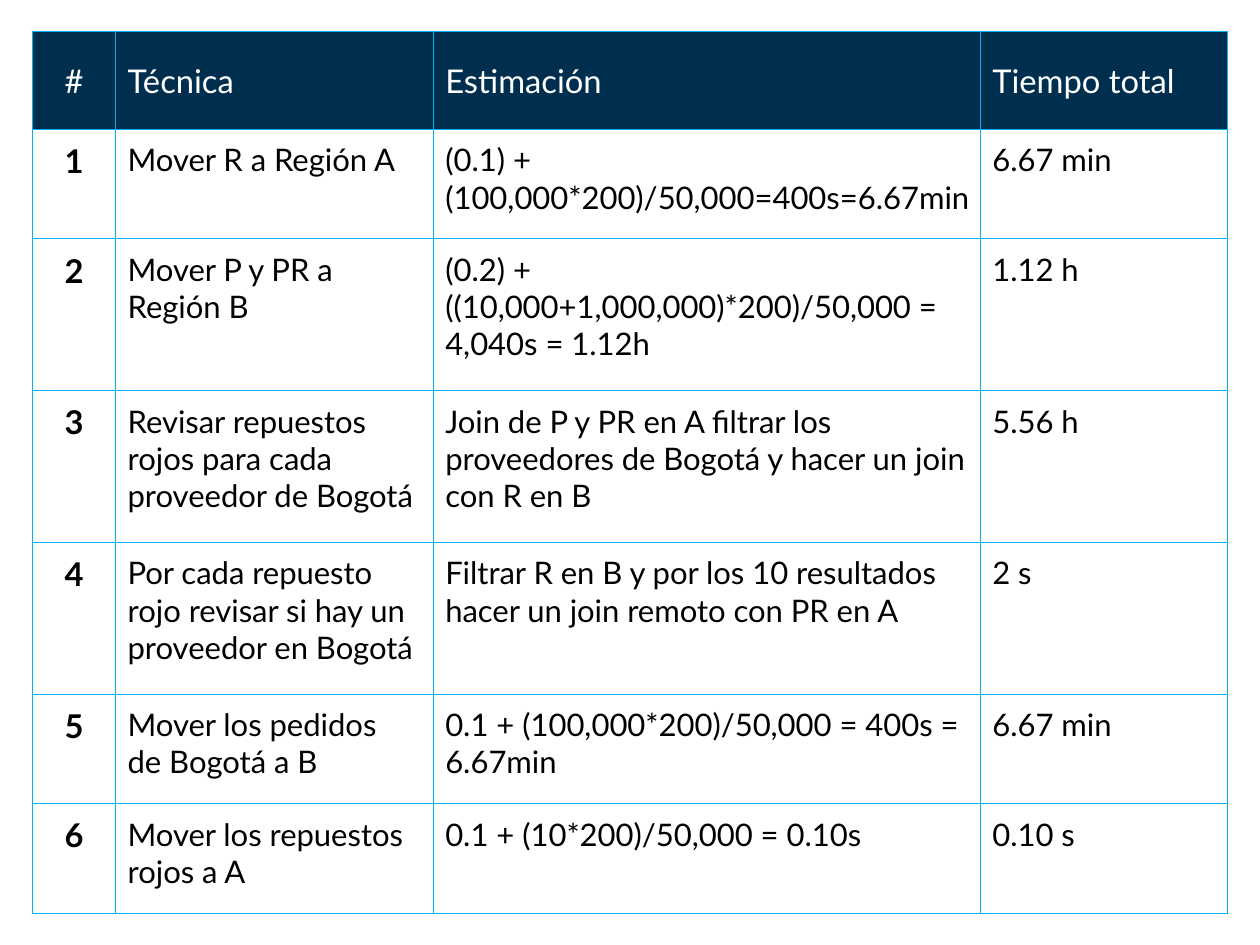
import pptx
import pptx.util
import pptx.dml.color
import pptx.enum.text
import lxml.etree

W, H = 10.71, 8.03
NAVY, CYAN, WHITE, BLACK = "002E4E", "00B0F0", "FFFFFF", "000000"
ANCHOR = pptx.enum.text.MSO_ANCHOR
ALIGN = pptx.enum.text.PP_ALIGN
Inches = pptx.util.Inches


def color(value):
    return pptx.dml.color.RGBColor.from_string(value)


def add_borders(cell, value, width):
    tcPr = cell._tc.get_or_add_tcPr()
    ns = "{http://schemas.openxmlformats.org/drawingml/2006/main}"
    for side in ("lnL", "lnR", "lnT", "lnB"):
        ln = lxml.etree.SubElement(tcPr, ns + side, w=str(pptx.util.Pt(width)))
        fill = lxml.etree.SubElement(ln, ns + "solidFill")
        lxml.etree.SubElement(fill, ns + "srgbClr", val=value)


prs = pptx.Presentation()
prs.slide_width, prs.slide_height = Inches(W), Inches(H)
s = prs.slides.add_slide(prs.slide_layouts[6])

# Table contents
rows = [
    ("#", "Técnica", "Estimación", "Tiempo total"),
    ("1", "Mover R a Región A",
     "(0.1) + (100,000*200)/50,000=400s=6.67min", "6.67 min"),
    ("2", "Mover P y PR a Región B",
     "(0.2) + ((10,000+1,000,000)*200)/50,000 = 4,040s = 1.12h", "1.12 h"),
    ("3", "Revisar repuestos rojos para cada proveedor de Bogotá",
     "Join de P y PR en A filtrar los proveedores de Bogotá y hacer un join con R en B",
     "5.56 h"),
    ("4", "Por cada repuesto rojo revisar si hay un proveedor en Bogotá",
     "Filtrar R en B y por los 10 resultados hacer un join remoto con PR en A", "2 s"),
    ("5", "Mover los pedidos\vde Bogotá a B",
     "0.1 + (100,000*200)/50,000 = 400s = 6.67min", "6.67 min"),
    ("6", "Mover los repuestos rojos a A", "0.1 + (10*200)/50,000 = 0.10s", "0.10 s"),
]

# Grid: a header, then rows of two or three text lines
two_lines, three_lines = 0.93, 1.29
col_widths = [0.71, 2.7, 4.65, 2.1]
row_heights = [0.83, two_lines] + [three_lines] * 3 + [two_lines] * 2
table_w, table_h = sum(col_widths), sum(row_heights)
frame = s.shapes.add_table(
    len(rows), len(col_widths), Inches((W - table_w) / 2), Inches((H - table_h) / 2),
    Inches(table_w), Inches(table_h))
table = frame.table
table.first_row = table.horz_banding = False
for column, width in zip(table.columns, col_widths):
    column.width = Inches(width)
for row, height in zip(table.rows, row_heights):
    row.height = Inches(height)

# Cells; the narrower right margin keeps the longest formula on one line
for i, texts in enumerate(rows):
    for j, text in enumerate(texts):
        header, number = i == 0, j == 0
        cell = table.cell(i, j)
        cell.margin_left = cell.margin_top = cell.margin_bottom = Inches(0.1)
        cell.margin_right = Inches(0.1 if number else 0.08)
        cell.vertical_anchor = ANCHOR.MIDDLE if header else ANCHOR.TOP
        add_borders(cell, CYAN, 0.75)
        if header:
            cell.fill.solid()
            cell.fill.fore_color.rgb = color(NAVY)
        else:
            cell.fill.background()
        cell.text_frame.text = text
        p = cell.text_frame.paragraphs[0]
        p.alignment = ALIGN.CENTER if number else ALIGN.LEFT
        for r in p.runs:
            r.font.name = "Lato"
            r.font.size = pptx.util.Pt(20 if header or number else 19)
            r.font.bold = number and not header
            r.font.color.rgb = color(WHITE if header else BLACK)

prs.save("out.pptx")
